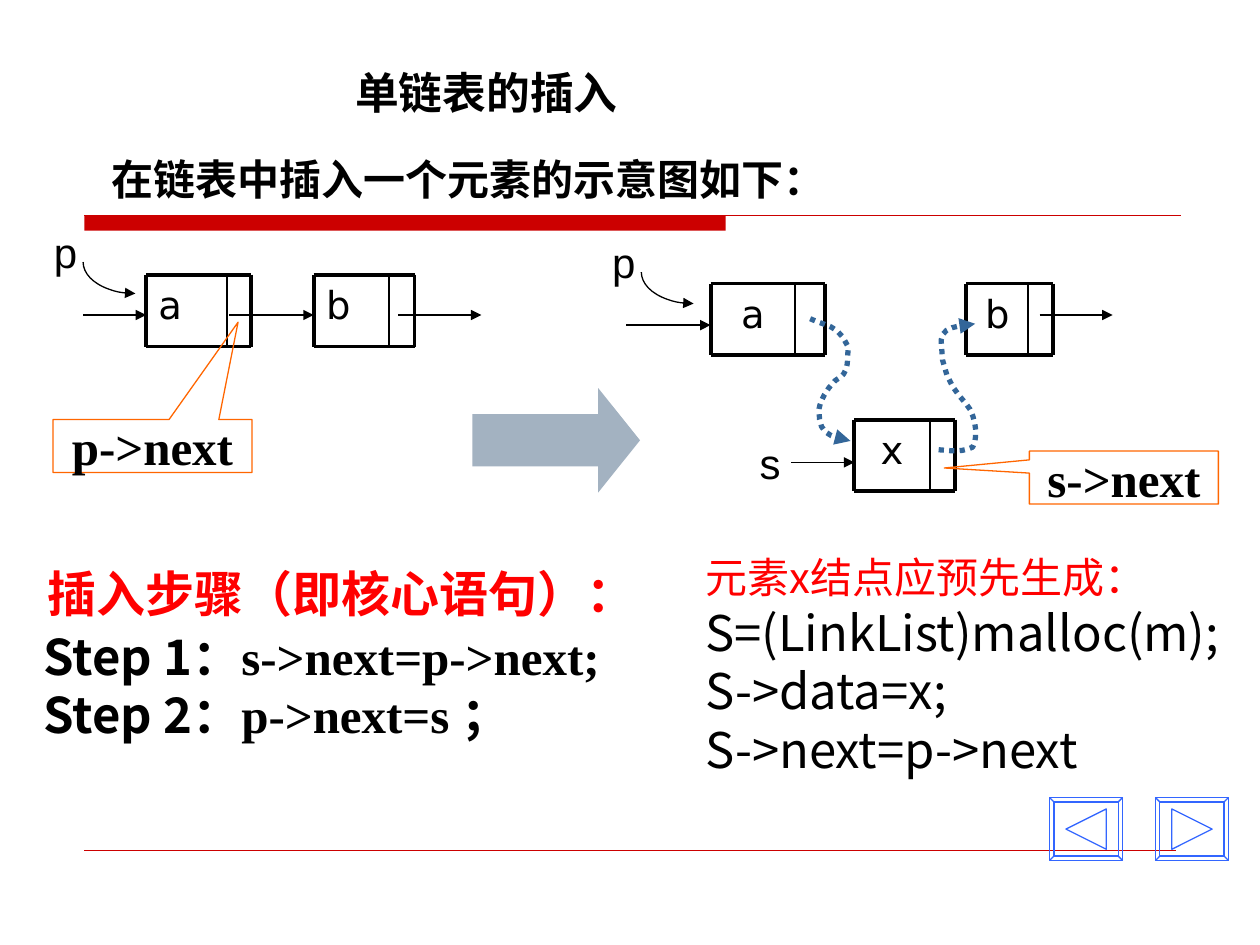
from dataclasses import dataclass

from lxml.etree import SubElement
from pptx import Presentation
from pptx.dml.color import RGBColor
from pptx.enum.dml import MSO_LINE
from pptx.enum.shapes import MSO_CONNECTOR, MSO_SHAPE
from pptx.enum.text import MSO_ANCHOR, PP_ALIGN
from pptx.oxml.ns import qn
from pptx.util import Inches, Pt


@dataclass(frozen=True)
class Theme:
    black: str = "000000"
    rule: str = "CC0000"
    accent: str = "FF0000"
    callout: str = "FF6600"
    link: str = "336699"
    block_arrow: str = "A3B2C1"
    button: str = "3366FF"
    cjk: str = "Noto Sans CJK SC"
    serif: str = "Times New Roman"
    label: str = "Arial"
    node: str = "DejaVu Sans"
    title_size: int = 25
    body_size: int = 24
    large_size: int = 28
    node_size: int = 22


THEME = Theme()


def inches(*lengths):
    return [Inches(length) for length in lengths]


def style_run(run, size, font, color=THEME.black, bold=False):
    run.font.size = Pt(size)
    run.font.bold = bold
    run.font.name = font
    run.font.color.rgb = RGBColor.from_string(color)
    east_asian = SubElement(run.font._element, qn("a:ea"))
    east_asian.set("typeface", THEME.cjk)


def style_line(line, color, width, arrow_end=None):
    line.color.rgb = RGBColor.from_string(color)
    line.width = Pt(width)
    if arrow_end:
        SubElement(line._get_or_add_ln(), qn(f"a:{arrow_end}")).set("type", "triangle")


def add_line(slide, start, end, color=THEME.black, width=0.75, arrow_end=None):
    line = slide.shapes.add_connector(MSO_CONNECTOR.STRAIGHT, *inches(*start, *end))
    style_line(line.line, color, width, arrow_end)
    SubElement(line._element.spPr, qn("a:effectLst"))


def add_preset(slide, preset, box, fill=None, line=None, width=0.75, adjustments=()):
    shape = slide.shapes.add_shape(preset, *inches(*box))
    shape.shadow.inherit = False
    for index, value in enumerate(adjustments):
        shape.adjustments[index] = value
    if fill:
        shape.fill.solid()
        shape.fill.fore_color.rgb = RGBColor.from_string(fill)
    else:
        shape.fill.background()
    if line:
        style_line(shape.line, line, width)
    else:
        shape.line.fill.background()
    return shape


def add_outline(slide, points, close=False):
    start, *rest = [tuple(inches(*point)) for point in points]
    builder = slide.shapes.build_freeform(*start)
    builder.add_line_segments(rest, close=close)
    outline = builder.convert_to_shape()
    outline.shadow.inherit = False
    outline.fill.background()
    return outline


def add_text(slide, box, lines, wrap=True, align=PP_ALIGN.LEFT):
    """Each line is a list of runs: (text, size, font, color, bold)."""
    frame = slide.shapes.add_textbox(*inches(*box)).text_frame
    frame.word_wrap = wrap
    for index, runs in enumerate(lines):
        paragraph = frame.paragraphs[0] if index == 0 else frame.add_paragraph()
        paragraph.alignment = align
        if runs[0][2] == THEME.cjk:
            paragraph.line_spacing = Pt(1.2 * runs[0][1])
        for text, *style in runs:
            run = paragraph.add_run()
            run.text = text
            style_run(run, *style)


def place_heading(slide, box):
    left, top, width, height = box
    title = slide.shapes.title
    title.left, title.top, title.width, title.height = inches(2.72, top, 3.76, 0.63)
    frame = title.text_frame
    frame.text = "单链表的插入"
    frame.vertical_anchor = MSO_ANCHOR.BOTTOM
    paragraph = frame.paragraphs[0]
    paragraph.alignment = PP_ALIGN.LEFT
    style_run(paragraph.runs[0], THEME.title_size, THEME.cjk, bold=True)
    add_text(slide, (left + 0.12, top + 0.81, 5.86, 0.5),
             [[("在链表中插入一个元素的示意图如下：", THEME.body_size, THEME.cjk, THEME.black, True)]])
    rule_top = top + height
    add_preset(slide, MSO_SHAPE.RECTANGLE, (left, rule_top, 5.09, 0.12), THEME.rule)
    add_line(slide, (left, rule_top), (left + width, rule_top), THEME.rule, 1)


def draw_node(slide, box, data_width, letter, align=PP_ALIGN.CENTER):
    left, top, width, height = box
    right, bottom = left + width, top + height
    add_text(slide, (left, top, data_width, height),
             [[(letter, THEME.node_size, THEME.node)]], align=align)
    for y in (top, bottom):
        add_line(slide, (left, y), (right, y), width=2.25)
    for x, weight in ((left, 2.25), (left + data_width, 1), (right, 2.25)):
        add_line(slide, (x, top), (x, bottom), width=weight)


def draw_pointer_label(slide, letter, left, top):
    add_text(slide, (left, top, 0.39, 0.5), [[(letter, THEME.body_size, THEME.label)]])


def draw_p_pointer(slide, left, top):
    """The letter p and the quarter arc that leads from it to the first node."""
    draw_pointer_label(slide, "p", left, top)
    arc = add_preset(slide, MSO_SHAPE.ARC, (left + 0.33, top + 0.08, 0.83, 0.5),
                     adjustments=(54, 108))
    style_line(arc.line, THEME.black, 0.75, "headEnd")


def draw_arrow(slide, left, right, y):
    add_line(slide, (left, y), (right, y), arrow_end="tailEnd")


def draw_link(slide, start, curves, steps=6):
    """Dotted arrow along cubic curves, each (control, control, end)."""
    points = [start]
    for curve in curves:
        corners = (points[-1], *curve)
        for step in range(1, steps + 1):
            t = step / steps
            weights = ((1 - t) ** 3, 3 * t * (1 - t) ** 2, 3 * t * t * (1 - t), t ** 3)
            points.append(tuple(sum(w * corner[axis] for w, corner in zip(weights, corners))
                                for axis in (0, 1)))
    link = add_outline(slide, points)
    link.line.dash_style = MSO_LINE.ROUND_DOT
    style_line(link.line, THEME.link, 3, "tailEnd")


def draw_callout(slide, box, text, tip):
    callout = add_preset(slide, MSO_SHAPE.RECTANGULAR_CALLOUT, box,
                         line=THEME.callout, adjustments=tip)
    frame = callout.text_frame
    frame.text = text
    frame.vertical_anchor = MSO_ANCHOR.MIDDLE
    frame.paragraphs[0].alignment = PP_ALIGN.CENTER
    style_run(frame.paragraphs[0].runs[0], THEME.large_size, THEME.serif, bold=True)


def draw_list_before(slide, left, top):
    draw_node(slide, (left + 0.83, top + 0.43, 0.83, 0.57), 0.64, "a", PP_ALIGN.LEFT)
    draw_node(slide, (left + 2.16, top + 0.43, 0.8, 0.57), 0.6, "b", PP_ALIGN.LEFT)
    for start, end in ((0.33, 0.83), (1.49, 2.16), (2.83, 3.49)):
        draw_arrow(slide, left + start, left + end, top + 0.75)
    draw_p_pointer(slide, left, top)
    draw_callout(slide, (left + 0.09, top + 1.58, 1.58, 0.42), "p->next", (0.43, -2.34))


def draw_list_after(slide, left, top):
    draw_node(slide, (left + 0.88, top + 0.42, 0.91, 0.57), 0.67, "a")
    draw_node(slide, (left + 2.91, top + 0.42, 0.69, 0.57), 0.49, "b")
    draw_node(slide, (left + 2.02, top + 1.5, 0.8, 0.57), 0.6, "x")
    for start, end, drop in ((0.21, 0.88, 0.75), (3.49, 4.07, 0.67), (1.52, 2.02, 1.84)):
        draw_arrow(slide, left + start, left + end, top + drop)
    draw_p_pointer(slide, left, top)
    draw_pointer_label(slide, "s", left + 1.17, top + 1.59)
    a_to_x = [((1.79, 0.76), (1.89, 0.74), (1.97, 0.92)),
              ((1.97, 1.1), (1.96, 1.14), (1.87, 1.19)),
              ((1.75, 1.31), (1.74, 1.42), (1.74, 1.42)),
              ((1.74, 1.6), (1.79, 1.63), (1.99, 1.67))]
    x_to_b = [((2.81, 1.75), (2.87, 1.76), (2.96, 1.72)),
              ((3, 1.65), (2.99, 1.52), (2.94, 1.42)),
              ((2.9, 1.34), (2.7, 1.22), (2.71, 0.87)),
              ((2.72, 0.76), (2.84, 0.76), (2.98, 0.74))]
    for start, curves in (((1.67, 0.7), a_to_x), ((2.69, 1.74), x_to_b)):
        draw_link(slide, (left + start[0], top + start[1]),
                  [[(left + x, top + y) for x, y in curve] for curve in curves])
    draw_callout(slide, (left + 3.41, top + 1.75, 1.5, 0.42), "s->next", (-0.95, -0.18))


def write_steps(slide, left, top):
    size = THEME.large_size
    add_text(slide, (left + 0.03, top, 4.86, 0.57),
             [[("插入步骤（即核心语句）：", size, THEME.cjk, THEME.accent, True)]],
             wrap=False, align=PP_ALIGN.CENTER)
    steps = (("Step 1：", "s->next=p->next;"), ("Step 2：", "p->next=s ；"))
    add_text(slide, (left, top + 0.5, 4.83, 1.5),
             [[(name, size, THEME.cjk, THEME.black, True),
               (code, size, THEME.serif, THEME.black, True)] for name, code in steps])


def write_preparation(slide, box):
    code = ("S=(LinkList)malloc(m);", "S->data=x;", "S->next=p->next")
    add_text(slide, box,
             [[("元素x结点应预先生成：", THEME.body_size, THEME.cjk, THEME.accent)]]
             + [[(statement, THEME.large_size, THEME.cjk)] for statement in code])


def draw_button(slide, left, top, direction):
    """Direction is -1 for back and 1 for next."""
    width, height = 0.58, 0.5
    add_preset(slide, MSO_SHAPE.BEVEL, (left, top, width, height),
               line=THEME.button, adjustments=(0.07,))
    middle_x, middle_y = left + width / 2, top + height / 2
    base = middle_x - direction * 0.16
    triangle = add_outline(slide, [(base, middle_y - 0.16),
                                   (middle_x + direction * 0.16, middle_y),
                                   (base, middle_y + 0.16)], close=True)
    style_line(triangle.line, THEME.button, 0.75)


def main():
    presentation = Presentation()
    presentation.slide_width, presentation.slide_height = inches(10, 7.5)
    slide = presentation.slides.add_slide(presentation.slide_layouts[5])
    place_heading(slide, (0.67, 0.36, 8.7, 1.35))
    add_line(slide, (0.67, 6.75), (9.33, 6.75), THEME.rule, 0.25)
    draw_list_after(slide, 4.76, 1.83)
    draw_list_before(slide, 0.33, 1.75)
    add_preset(slide, MSO_SHAPE.RIGHT_ARROW, (3.75, 3.08, 1.33, 0.83),
               THEME.block_arrow, adjustments=(0.5, 0.4))
    write_steps(slide, 0.25, 4.42)
    write_preparation(slide, (5.5, 4.33, 4.5, 1.9))
    for left, direction in ((8.33, -1), (9.17, 1)):
        draw_button(slide, left, 6.33, direction)
    presentation.save("out.pptx")


if __name__ == "__main__":
    main()
